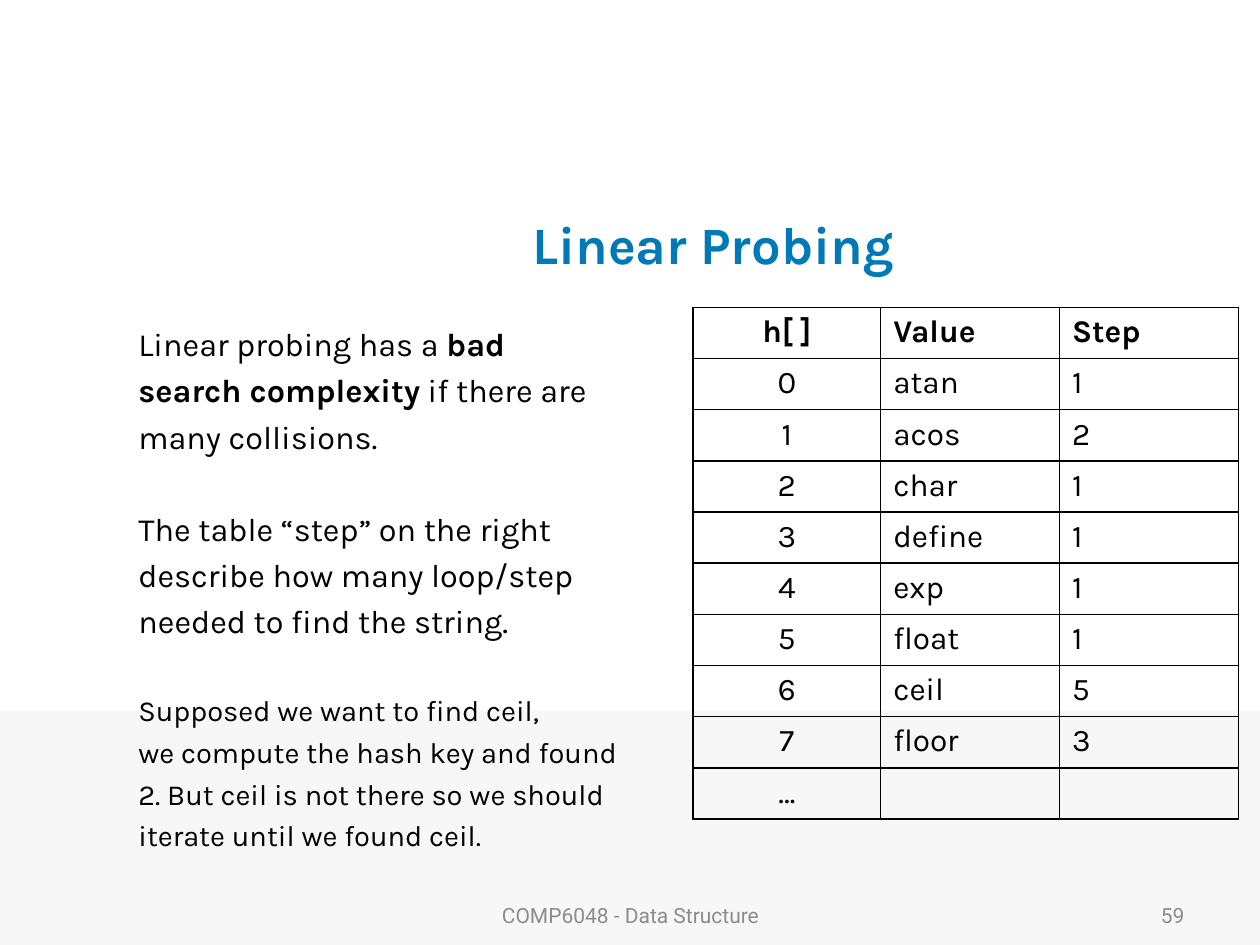
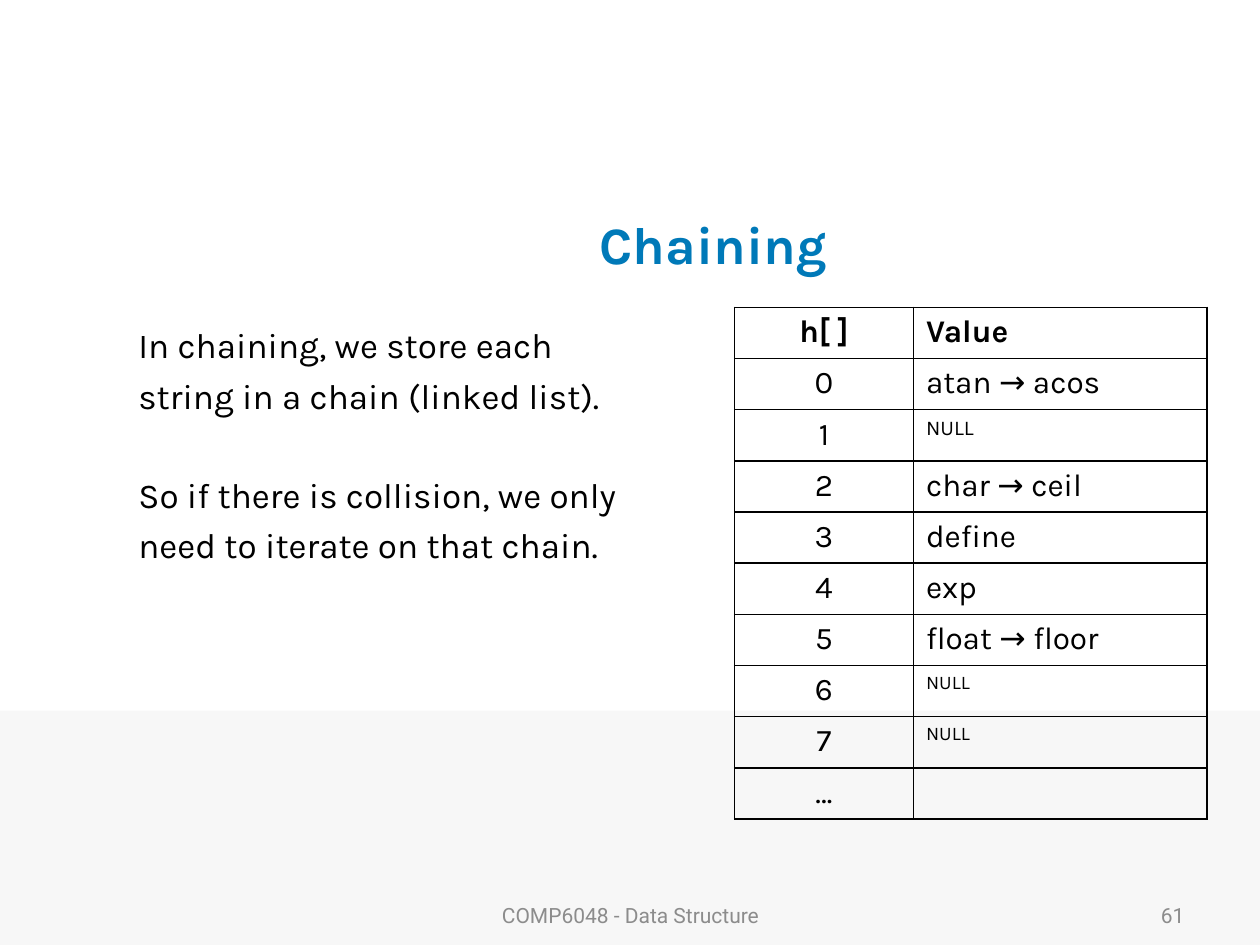
"""Builds two slides on resolving hash collisions."""
from dataclasses import dataclass

import lxml.etree
import pptx
import pptx.dml.color
import pptx.enum.shapes
import pptx.enum.text
import pptx.oxml.ns
import pptx.util

Inches = pptx.util.Inches
Pt = pptx.util.Pt
RGB = pptx.dml.color.RGBColor.from_string
ALIGN = pptx.enum.text.PP_ALIGN
ANCHOR = pptx.enum.text.MSO_ANCHOR


@dataclass(frozen=True)
class Theme:
    """Colours, fonts, type sizes and line spacing."""
    accent: str = "0079B8"
    ink: str = "000000"
    muted: str = "8C8C8C"
    band: str = "F7F7F7"
    text_font: str = "Karla"
    footer_font: str = "Roboto"
    title_size: float = 30
    table_size: float = 18
    footer_size: float = 12
    line_gap: float = 0.234
    line_pitch: float = 1.403


class Deck:
    """Holds the theme, the presentation and the current slide."""

    def __init__(self, theme):
        self.theme = theme
        self.presentation = pptx.Presentation()
        self.presentation.slide_width = Inches(10)
        self.presentation.slide_height = Inches(7.5)
        self.slide = None

    def start_slide(self, title, number):
        """Adds a slide with its band, title and footer."""
        self.slide = self.presentation.slides.add_slide(self.presentation.slide_layouts[6])
        self.band(0, 5.64, 10, 1.86)
        self.title(title)
        self.footer("COMP6048 - Data Structure", 3.42, 3.17, ALIGN.CENTER)
        self.footer(str(number), 7.17, 2.33, ALIGN.RIGHT)

    def band(self, *box):
        """Adds the flat band at the foot of the slide."""
        band = self.slide.shapes.add_shape(
            pptx.enum.shapes.MSO_SHAPE.RECTANGLE, *map(Inches, box))
        band.shadow.inherit = False
        band.fill.solid()
        band.fill.fore_color.rgb = RGB(self.theme.band)
        band.line.fill.background()

    def run(self, paragraph, text, size, color=None, font=None, bold=False):
        """Adds one styled run."""
        run = paragraph.add_run()
        run.text = text
        run.font.size = Pt(size)
        run.font.name = font or self.theme.text_font
        run.font.bold = bold
        run.font.color.rgb = RGB(color or self.theme.ink)

    def frame(self, box, anchor):
        """Adds a wrapping text box and returns its text frame."""
        frame = self.slide.shapes.add_textbox(*map(Inches, box)).text_frame
        frame.word_wrap = True
        frame.vertical_anchor = anchor
        return frame

    def title(self, text):
        """Adds the slide title."""
        line = self.frame((1.92, 1.5, 7.48, 0.87), ANCHOR.MIDDLE).paragraphs[0]
        line.alignment = ALIGN.CENTER
        self.run(line, text, self.theme.title_size, self.theme.accent, bold=True)

    def footer(self, text, left, width, alignment):
        """Adds one part of the footer."""
        line = self.frame((left, 7.06, width, 0.4), ANCHOR.MIDDLE).paragraphs[0]
        line.alignment = alignment
        self.run(line, text, self.theme.footer_size, self.theme.muted, self.theme.footer_font)

    def body(self, width, passages):
        """Adds passages of lines, with an open line between passages."""
        theme = self.theme
        frame = self.frame((1, 2.5, width, 4.07), ANCHOR.TOP)
        frame.margin_top = Inches(0.07)
        open_line = passages[0][0] * theme.line_pitch
        for passage_index, (size, lines) in enumerate(passages):
            for line_index, runs in enumerate(lines):
                if passage_index == line_index == 0:
                    line = frame.paragraphs[0]
                else:
                    line = frame.add_paragraph()
                    gap = size * theme.line_gap + (0 if line_index else open_line)
                    line.space_before = Pt(round(gap, 2))
                for text, bold in runs:
                    self.run(line, text, size, bold=bold)

    def border(self, cell):
        """Draws thin lines on all sides of a cell."""
        properties = cell._tc.get_or_add_tcPr()
        qn = pptx.oxml.ns.qn
        for side in ("lnL", "lnR", "lnT", "lnB"):
            line = lxml.etree.SubElement(properties, qn(f"a:{side}"), w=str(Pt(1)))
            fill = lxml.etree.SubElement(line, qn("a:solidFill"))
            lxml.etree.SubElement(fill, qn("a:srgbClr"), val=self.theme.ink)

    def hash_table(self, left, widths, header, entries, sizes=None):
        """Adds a table of slots; sizes maps a slot to a special type size."""
        slots = [*map(str, range(len(entries))), "…"]
        blank = [""] * (len(header) - 1)
        rows = [header] + [[slot, *values] for slot, values in zip(slots, [*entries, blank])]
        table = self.slide.shapes.add_table(
            len(rows), len(widths), Inches(left), Inches(2.44),
            Inches(sum(widths)), Inches(4.06)).table
        table.first_row = table.horz_banding = False
        for column, width in zip(table.columns, widths):
            column.width = Inches(width)
        for row_index, row in enumerate(rows):
            for column_index, text in enumerate(row):
                cell = table.cell(row_index, column_index)
                self.border(cell)
                cell.fill.background()
                line = cell.text_frame.paragraphs[0]
                line.alignment = ALIGN.LEFT if column_index else ALIGN.CENTER
                size = self.theme.table_size
                if column_index and sizes:
                    size = sizes.get(row[0], size)
                if text:
                    self.run(line, text, size, bold=row_index == 0)


def plain(*lines):
    """Turns lines of text into single regular runs."""
    return [[(line, False)] for line in lines]


def linear_probing(deck):
    """Builds the slide on linear probing."""
    deck.start_slide("Linear Probing", 59)
    deck.body(4.42, [
        (18.5, [
            [("Linear probing has a ", False), ("bad", True)],
            [("search complexity", True), (" if there are", False)],
            *plain("many collisions."),
        ]),
        (18.5, plain("The table “step” on the right",
                     "describe how many loop/step",
                     "needed to find the string.")),
        (16.6, plain("Supposed we want to find ceil,",
                     "we compute the hash key and found",
                     "2. But ceil is not there so we should",
                     "iterate until we found ceil.")),
    ])
    deck.hash_table(5.5, (1.49, 1.42, 1.42), ["h[ ]", "Value", "Step"], [
        ("atan", "1"), ("acos", "2"), ("char", "1"), ("define", "1"),
        ("exp", "1"), ("float", "1"), ("ceil", "5"), ("floor", "3")])


def chaining(deck):
    """Builds the slide on chaining."""
    deck.start_slide("Chaining", 61)
    deck.body(4.67, [
        (20, plain("In chaining, we store each",
                   "string in a chain (linked list).")),
        (20, plain("So if there is collision, we only",
                   "need to iterate on that chain.")),
    ])
    chains = ["atan → acos", "NULL", "char → ceil", "define",
              "exp", "float → floor", "NULL", "NULL"]
    deck.hash_table(5.83, (1.42, 2.33), ["h[ ]", "Value"],
                    [(chain,) for chain in chains], {"1": 12, "6": 11, "7": 11})


def main():
    """Builds and saves the slides."""
    deck = Deck(Theme())
    linear_probing(deck)
    chaining(deck)
    deck.presentation.save("out.pptx")


if __name__ == "__main__":
    main()
